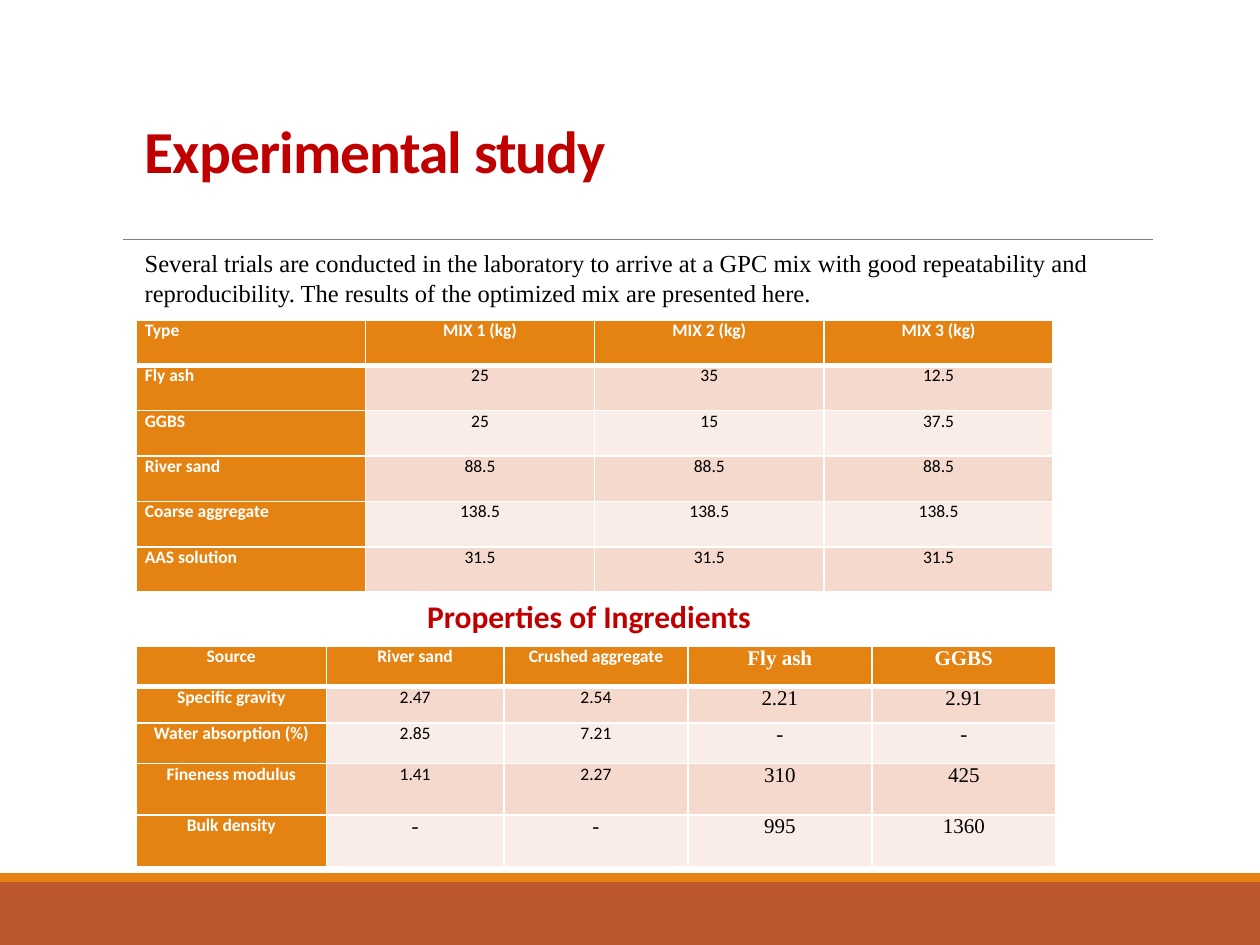
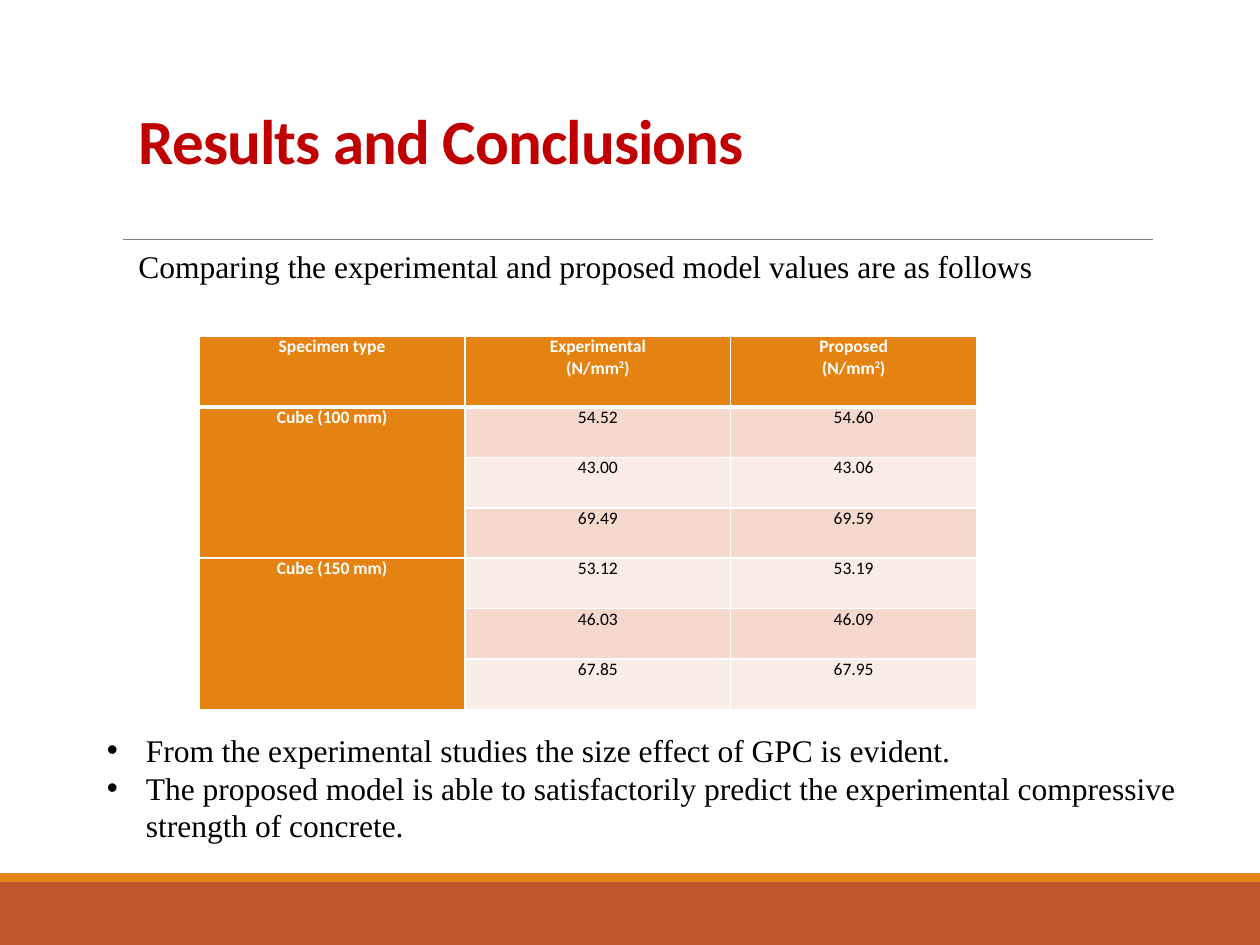
"""Build two slides on geopolymer concrete: the experimental study and its results."""
from lxml.etree import SubElement
from pptx import Presentation
from pptx.dml.color import RGBColor
from pptx.enum.shapes import MSO_CONNECTOR as Connector, MSO_SHAPE as Shape
from pptx.enum.text import MSO_ANCHOR as Anchor, MSO_AUTO_SIZE as AutoSize, PP_ALIGN as Align
from pptx.oxml.ns import qn
from pptx.util import Inches, Pt

ORANGE = RGBColor(0xE4, 0x83, 0x12)
RUST = RGBColor(0xBD, 0x58, 0x2C)
RED = RGBColor(0xC0, 0x00, 0x00)
GRAY = RGBColor(0x80, 0x80, 0x80)
BLACK = RGBColor(0x00, 0x00, 0x00)
WHITE = RGBColor(0xFF, 0xFF, 0xFF)
BANDS = (RGBColor(0xFA, 0xED, 0xE7), RGBColor(0xF5, 0xD9, 0xCC))
SANS, SERIF = "Calibri", "Times New Roman"

MIXES = [
    ["Type", "MIX 1 (kg)", "MIX 2 (kg)", "MIX 3 (kg)"],
    ["Fly ash", "25", "35", "12.5"],
    ["GGBS", "25", "15", "37.5"],
    ["River sand", "88.5", "88.5", "88.5"],
    ["Coarse aggregate", "138.5", "138.5", "138.5"],
    ["AAS solution", "31.5", "31.5", "31.5"],
]
INGREDIENTS = [
    ["Source", "River sand", "Crushed aggregate", "Fly ash", "GGBS"],
    ["Specific gravity", "2.47", "2.54", "2.21", "2.91"],
    ["Water absorption (%)", "2.85", "7.21", "-", "-"],
    ["Fineness modulus", "1.41", "2.27", "310", "425"],
    ["Bulk density", "-", "-", "995", "1360"],
]
STRENGTHS = [
    ["Specimen type", "Experimental\n(N/mm^2^)", "Proposed\n(N/mm^2^)"],
    ["Cube (100 mm)", "54.52", "54.60"],
    [None, "43.00", "43.06"],
    [None, "69.49", "69.59"],
    ["Cube (150 mm)", "53.12", "53.19"],
    [None, "46.03", "46.09"],
    [None, "67.85", "67.95"],
]


def write(frame, text, size=10, font=SANS, color=BLACK, bold=False, align=Align.LEFT,
          spacing=None, tracking=None, bullet=False):
    """Fill a frame with one paragraph a line; text between carets is superscript."""
    for index, line in enumerate(text.split("\n")):
        para = frame.add_paragraph() if index else frame.paragraphs[0]
        para.alignment = align
        if spacing:
            para.line_spacing = spacing
        if bullet:
            properties = para._p.get_or_add_pPr()
            properties.set("marL", str(Inches(0.31)))
            properties.set("indent", str(-Inches(0.31)))
            SubElement(properties, qn("a:buFont")).set("typeface", "Arial")
            SubElement(properties, qn("a:buChar")).set("char", "•")
        for position, piece in enumerate(line.split("^")):
            span = para.add_run()
            span.text = piece
            span.font.size, span.font.name = Pt(size), font
            span.font.bold, span.font.color.rgb = bold, color
            if position % 2:
                span._r.get_or_add_rPr().set("baseline", "30000")
            if tracking:
                span._r.get_or_add_rPr().set("spc", str(tracking))


class Builder:
    """Hold the deck style and the slide being built."""

    def __init__(self):
        self.deck = Presentation()
        self.deck.slide_width, self.deck.slide_height = Inches(10), Inches(7.5)
        self.page = None

    def start_page(self, title, left, top, height, size):
        """Add a slide with its bands, rule and title."""
        self.page = self.deck.slides.add_slide(self.deck.slide_layouts[5])
        self.band(7, 0.5, RUST)
        self.band(6.93, 0.07, ORANGE)
        self.rule(0.98, 9.15, 1.9)
        box = self.page.shapes.title
        box.left, box.top = Inches(left), Inches(top)
        box.width, box.height = Inches(8.25), Inches(height)
        frame = box.text_frame
        frame.auto_size, frame.vertical_anchor = AutoSize.NONE, Anchor.BOTTOM
        write(frame, title, size=size, color=RED, bold=True, spacing=0.85, tracking=-50)

    def band(self, top, height, color):
        """Draw a full-width band."""
        band = self.page.shapes.add_shape(
            Shape.RECTANGLE, 0, Inches(top), self.deck.slide_width, Inches(height))
        band.shadow.inherit = False
        band.fill.solid()
        band.fill.fore_color.rgb = color
        band.line.fill.background()

    def rule(self, start, end, top):
        """Draw a thin horizontal line."""
        rule = self.page.shapes.add_connector(
            Connector.STRAIGHT, Inches(start), Inches(top), Inches(end), Inches(top))
        rule.line.color.rgb, rule.line.width = GRAY, Pt(0.5)
        SubElement(rule._element.spPr, qn("a:effectLst"))

    def text(self, text, left, top, width, height, **style):
        """Add a wrapping text box."""
        box = self.page.shapes.add_textbox(
            Inches(left), Inches(top), Inches(width), Inches(height))
        box.text_frame.word_wrap = True
        write(box.text_frame, text, **style)

    def table(self, rows, left, top, widths, heights, first_align=Align.CENTER, serif_from=None):
        """Add a banded table; None continues the cell above it."""
        table = self.page.shapes.add_table(
            len(rows), len(widths), Inches(left), Inches(top),
            Inches(sum(widths)), Inches(sum(heights))).table
        for column, width in zip(table.columns, widths):
            column.width = Inches(width)
        for row, height in zip(table.rows, heights):
            row.height = Inches(height)
        starts = [index for index, row in enumerate(rows) if row[0] is not None]
        for start, end in zip(starts, starts[1:] + [len(rows)]):
            if end - start > 1:
                table.cell(start, 0).merge(table.cell(end - 1, 0))
        for r, row in enumerate(rows):
            for c, text in enumerate(row):
                cell = table.cell(r, c)
                heading = r == 0 or c == 0
                self.paint(cell, ORANGE if heading else BANDS[r % 2], r)
                if text is None:
                    continue
                serif = text == "-" or (serif_from is not None and c >= serif_from)
                write(cell.text_frame, text,
                      size=12 if serif else 10, font=SERIF if serif else SANS,
                      color=WHITE if heading else BLACK, bold=heading,
                      align=Align.CENTER if c else first_align)

    def paint(self, cell, color, row):
        """Set the margins, white borders and fill of a table cell."""
        cell.margin_left = cell.margin_right = Inches(0.07)
        cell.margin_top = cell.margin_bottom = 0
        thick = {0: "lnB", 1: "lnT"}.get(row)
        for side in ("lnL", "lnR", "lnT", "lnB"):
            border = SubElement(cell._tc.get_or_add_tcPr(), qn(f"a:{side}"))
            border.set("w", str(Pt(3 if side == thick else 1)))
            fill = SubElement(border, qn("a:solidFill"))
            SubElement(fill, qn("a:srgbClr")).set("val", str(WHITE))
        cell.fill.solid()
        cell.fill.fore_color.rgb = color


def main():
    """Build and save the deck."""
    builder = Builder()

    builder.start_page("Experimental study", 1.05, 0.94, 0.58, 34)
    builder.text("Several trials are conducted in the laboratory to arrive at a GPC mix with good "
                 "repeatability and reproducibility. The results of the optimized mix are "
                 "presented here.", 1.05, 1.92, 8.7, 0.57, size=14, font=SERIF)
    builder.table(MIXES, 1.08, 2.54, [1.82] * 4, [0.36] * 6, first_align=Align.LEFT)
    builder.text("Properties of Ingredients", 0.83, 4.69, 7.69, 0.4,
                 size=18, color=RED, bold=True, align=Align.CENTER)
    builder.table(INGREDIENTS, 1.08, 5.13, [1.51, 1.41] + [1.46] * 3,
                  [0.32, 0.29, 0.32, 0.41, 0.41], serif_from=3)

    builder.start_page("Results and Conclusions", 1, 0.76, 0.7, 36)
    builder.table(STRENGTHS, 1.58, 2.67, [2.11, 2.11, 1.95], [0.56] + [0.4] * 6)
    builder.text("Comparing the experimental and proposed model values are as follows",
                 1, 1.91, 7.67, 0.4, size=18, font=SERIF)
    builder.text("From the experimental studies the size effect of GPC is evident.\n"
                 "The proposed model is able to satisfactorily predict the experimental "
                 "compressive strength of concrete.",
                 0.75, 5.75, 9, 1.31, size=18, font=SERIF, bullet=True)

    builder.deck.save("out.pptx")


if __name__ == "__main__":
    main()
